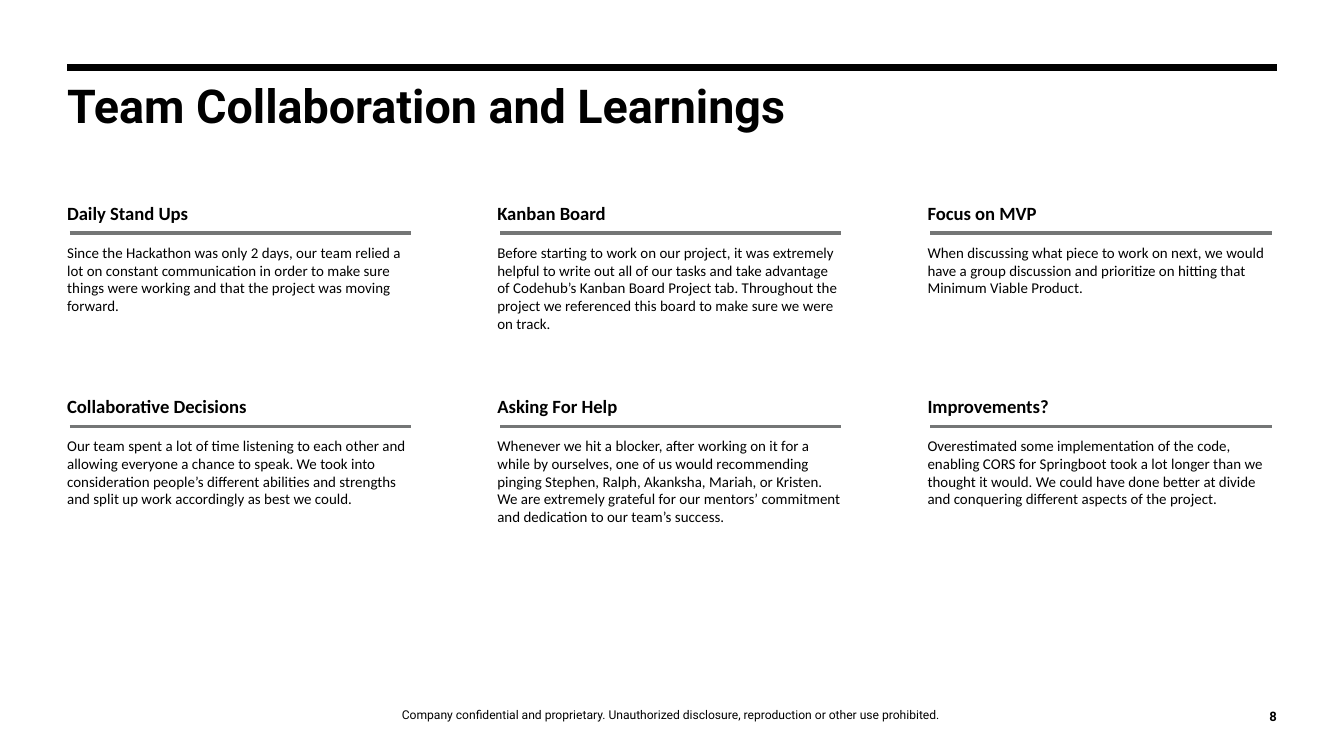
from lxml import etree
from pptx import Presentation
from pptx import util as u
from pptx.dml.color import RGBColor
from pptx.enum import shapes, text
from pptx.oxml import ns

BLACK = RGBColor(0, 0, 0)
GREY = RGBColor(0x74, 0x76, 0x76)
LEFT, TOP, STEP, DROP = 1.27, 3.68, 8.13, 3.65
TOPICS = [
    ("Daily Stand Ups",
     "Since the Hackathon was only 2 days, our team relied a lot on constant "
     "communication in order to make sure things were working and that the "
     "project was moving forward."),
    ("Kanban Board",
     "Before starting to work on our project, it was extremely helpful to "
     "write out all of our tasks and take advantage of Codehub’s Kanban Board "
     "Project tab. Throughout the project we referenced this board to make "
     "sure we were on track."),
    ("Focus on MVP",
     "When discussing what piece to work on next, we would have a group "
     "discussion and prioritize on hitting that Minimum Viable Product."),
    ("Collaborative Decisions",
     "Our team spent a lot of time listening to each other and allowing "
     "everyone a chance to speak. We took into consideration people’s "
     "different abilities and strengths and split up work accordingly as "
     "best we could."),
    ("Asking For Help",
     "Whenever we hit a blocker, after working on it for a while by "
     "ourselves, one of us would recommending pinging Stephen, Ralph, "
     "Akanksha, Mariah, or Kristen. We are extremely grateful for our "
     "mentors’ commitment and dedication to our team’s success."),
    ("Improvements?",
     "Overestimated some implementation of the code, enabling CORS for "
     "Springboot took a lot longer than we thought it would. We could have "
     "done better at divide and conquering different aspects of the project."),
]


class Deck:
    """Holds the style and the current slide, and draws each kind of element."""

    def __init__(self):
        self.show = Presentation()
        self.show.slide_width = u.Cm(25.4)
        self.show.slide_height = u.Cm(14.29)
        self.slide = self.show.slides.add_slide(self.show.slide_layouts[5])
        self.head, self.body = "Roboto", "Calibri"

    def fill(self, box, words, size, font, bold=False, pad=0.0, space=None,
             align=text.PP_ALIGN.LEFT, anchor=text.MSO_ANCHOR.TOP):
        frame = box.text_frame
        frame.word_wrap = True
        frame.auto_size = text.MSO_AUTO_SIZE.NONE
        frame.vertical_anchor = anchor
        frame.margin_left = frame.margin_right = 0
        frame.margin_top = frame.margin_bottom = u.Cm(pad)
        frame.text = words
        para = frame.paragraphs[0]
        para.alignment = align
        if space:
            para.line_spacing = space
        face = para.runs[0].font
        face.name, face.size, face.bold = font, u.Pt(size), bold
        face.color.rgb = BLACK

    def title(self, words, x, y, w, h):
        box = self.slide.shapes.title
        box.left, box.top, box.width, box.height = map(u.Cm, (x, y, w, h))
        self.fill(box, words, 25, self.head, bold=True, space=0.8)

    def label(self, words, x, y, w, h, size, font, **style):
        box = self.slide.shapes.add_textbox(*map(u.Cm, (x, y, w, h)))
        self.fill(box, words, size, font, **style)

    def rule(self, x, y, w, color, width):
        line = self.slide.shapes.add_connector(
            shapes.MSO_CONNECTOR.STRAIGHT, *map(u.Cm, (x, y, x + w, y)))
        line.line.color.rgb = color
        line.line.width = u.Pt(width)
        etree.SubElement(line._element.spPr, ns.qn("a:effectLst"))

    def topic(self, name, words, x, y):
        self.label(name, x, y, 5.2, 0.69, 10, self.body, bold=True, pad=0.13)
        self.rule(x + 0.05, y + 0.73, 6.45, GREY, 2)
        self.label(words, x, y + 0.79, 6.5, 1.96, 8, self.body, pad=0.13)


def main():
    deck = Deck()
    deck.label("Company confidential and proprietary. Unauthorized disclosure, "
               "reproduction or other use prohibited.",
               2.79, 12.8, 19.79, 0.84, 6.5, deck.head, space=1.14,
               align=text.PP_ALIGN.CENTER, anchor=text.MSO_ANCHOR.BOTTOM)
    deck.rule(LEFT, 1.27, 22.86, BLACK, 3.75)
    deck.label("8", 23.5, 13.06, 0.63, 0.63, 7, deck.head, bold=True,
               align=text.PP_ALIGN.RIGHT, anchor=text.MSO_ANCHOR.BOTTOM)
    deck.title("Team Collaboration and Learnings", LEFT, 1.65, 19.69, 1.57)
    for i, (name, words) in enumerate(TOPICS):
        row, col = divmod(i, 3)
        deck.topic(name, words, LEFT + col * STEP, TOP + row * DROP)
    deck.show.save("out.pptx")


if __name__ == "__main__":
    main()
